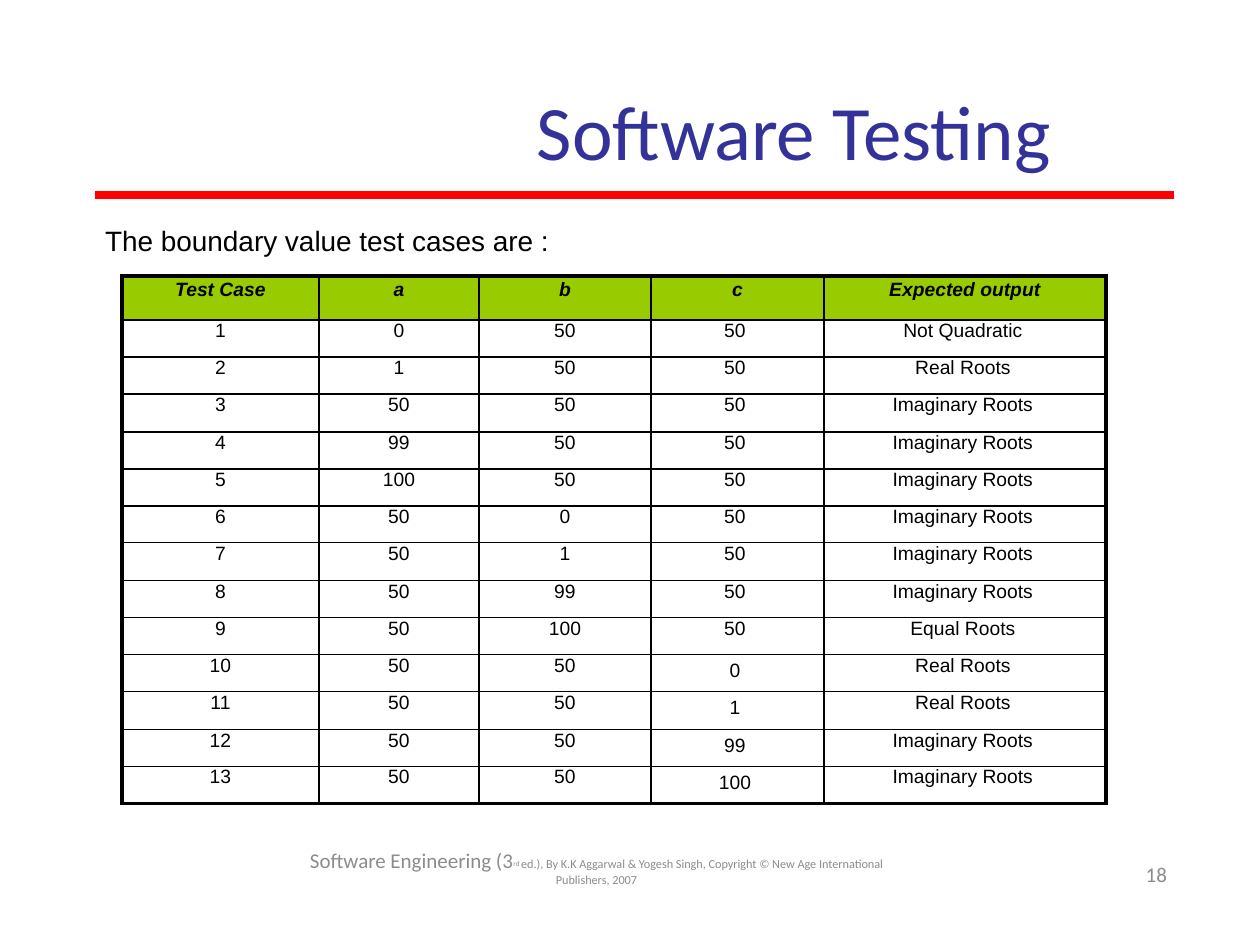
import pptx
import pptx.dml.color
import pptx.enum.shapes
import pptx.enum.text
import pptx.oxml
import pptx.oxml.ns
import pptx.util

PX = 914400 // 126
COLORS = {"title": "323299", "rule": "FF0000", "text": "000000", "muted": "8C8C8C", "header": "98CC00"}
ALIGN = pptx.enum.text.PP_ALIGN
ANCHOR = pptx.enum.text.MSO_ANCHOR
COLUMNS = [197, 160, 172, 173, 282]
RIGHT_INSETS = [0, 0, 0, 5, 4]
HEADER_HEIGHT, BODY_HEIGHT = 44, 484
HEADERS = ["Test Case", "a", "b", "c", "Expected output"]
CASES = [
    (0, 50, 50, "Not Quadratic"),
    (1, 50, 50, "Real Roots"),
    (50, 50, 50, "Imaginary Roots"),
    (99, 50, 50, "Imaginary Roots"),
    (100, 50, 50, "Imaginary Roots"),
    (50, 0, 50, "Imaginary Roots"),
    (50, 1, 50, "Imaginary Roots"),
    (50, 99, 50, "Imaginary Roots"),
    (50, 100, 50, "Equal Roots"),
    (50, 50, 0, "Real Roots"),
    (50, 50, 1, "Real Roots"),
    (50, 50, 99, "Imaginary Roots"),
    (50, 50, 100, "Imaginary Roots"),
]


def px(length):
    """Turn pixels into EMU."""
    return pptx.util.Emu(length * PX)


def rgb(name):
    """Look up a named colour."""
    return pptx.dml.color.RGBColor.from_string(COLORS[name])


def write(para, text, size=11, font="Arial", color="text", bold=False, italic=False,
          baseline=0, align=ALIGN.CENTER, leading=None):
    """Append a formatted run to a paragraph."""
    para.alignment = align
    if leading:
        para.line_spacing = pptx.util.Pt(leading)
    span = para.add_run()
    span.text = text
    span.font.size = pptx.util.Pt(size)
    span.font.name = font
    span.font.bold = bold
    span.font.italic = italic
    span.font.color.rgb = rgb(color)
    if baseline:
        span._r.get_or_add_rPr().set("baseline", str(baseline * 1000))


def add_box(slide, left, top, width, height, inset_top=0, anchor=ANCHOR.TOP):
    """Add a wrapping text box and return its first paragraph."""
    box = slide.shapes.add_textbox(px(left), px(top), px(width), px(height))
    frame = box.text_frame
    frame.word_wrap = True
    frame.vertical_anchor = anchor
    frame.margin_left = frame.margin_right = frame.margin_bottom = 0
    frame.margin_top = px(inset_top)
    return frame.paragraphs[0]


def add_rule(slide, left, right, top):
    """Draw the horizontal line below the title."""
    rule = slide.shapes.add_connector(pptx.enum.shapes.MSO_CONNECTOR.STRAIGHT,
                                      px(left), px(top), px(right), px(top))
    rule.line.color.rgb = rgb("rule")
    rule.line.width = pptx.util.Pt(4.5)
    rule._element.spPr.append(pptx.oxml.parse_xml("<a:effectLst %s/>" % pptx.oxml.ns.nsdecls("a")))


def set_borders(cell, outer_sides):
    """Give a cell thin borders, and thick ones on the outer sides."""
    properties = cell._tc.get_or_add_tcPr()
    for index, side in enumerate("LRTB"):
        width = pptx.util.Pt(2.25 if side in outer_sides else 1)
        properties.insert(index, pptx.oxml.parse_xml(
            '<a:ln%s %s w="%d"><a:solidFill><a:srgbClr val="%s"/></a:solidFill></a:ln%s>'
            % (side, pptx.oxml.ns.nsdecls("a"), width, COLORS["text"], side)))


def fill_cell(cell, text, header, right_inset, outer_sides, leading):
    """Write and style one table cell."""
    cell.margin_left = cell.margin_top = cell.margin_bottom = 0
    cell.margin_right = px(right_inset)
    if header:
        cell.fill.solid()
        cell.fill.fore_color.rgb = rgb("header")
    else:
        cell.fill.background()
    set_borders(cell, outer_sides)
    write(cell.text_frame.paragraphs[0], text, bold=header, italic=header, leading=leading)


def add_cases(slide, left, top):
    """Add the table of boundary value test cases."""
    rows = [HEADERS] + [(number, *case) for number, case in enumerate(CASES, 1)]
    table = slide.shapes.add_table(len(rows), len(COLUMNS), px(left), px(top), px(sum(COLUMNS)),
                                   px(HEADER_HEIGHT + BODY_HEIGHT)).table
    table.first_row = table.horz_banding = False
    for column, width in zip(table.columns, COLUMNS):
        column.width = px(width)
    tops = [round(BODY_HEIGHT * index / len(CASES)) for index in range(len(rows))]
    heights = [HEADER_HEIGHT] + [low - high for high, low in zip(tops, tops[1:])]
    last_row, last_column = len(rows) - 1, len(COLUMNS) - 1
    for r, values in enumerate(rows):
        table.rows[r].height = px(heights[r])
        for c, value in enumerate(values):
            edges = {"L": c == 0, "R": c == last_column, "T": r == 0, "B": r == last_row}
            outer_sides = [side for side, outer in edges.items() if outer]
            leading = 14.1 if r == 0 else 15.6 if r >= 10 and c == 3 else None
            fill_cell(table.cell(r, c), str(value), r == 0, RIGHT_INSETS[c] if r else 0,
                      outer_sides, leading)


def add_footer(slide):
    """Add the citation and the page number."""
    muted = {"font": "Calibri", "color": "muted"}
    number = add_box(slide, 1051, 815, 116, 83, 37, ANCHOR.MIDDLE)
    write(number, "18", size=12, align=ALIGN.RIGHT, leading=13.2, **muted)
    citation = add_box(slide, 285, 859, 623, 28, 0, ANCHOR.MIDDLE)
    write(citation, "Software Engineering (3", size=12, leading=7.8, **muted)
    write(citation, "rd ", size=7, baseline=22, leading=7.8, **muted)
    write(citation, "ed.), By K.K Aggarwal & Yogesh Singh, Copyright © New Age International "
          "Publishers, 2007", size=7, leading=7.8, **muted)


def main():
    """Build the slide and save it."""
    deck = pptx.Presentation()
    deck.slide_width, deck.slide_height = px(1260), px(945)
    slide = deck.slides.add_slide(deck.slide_layouts[6])
    write(add_box(slide, 391, 57, 806, 120, 26, ANCHOR.MIDDLE), "Software Testing",
          size=44, font="Calibri", color="title")
    add_rule(slide, 95, 1174, 195)
    write(add_box(slide, 105, 224, 458, 34), "The boundary value test cases are :",
          size=16, align=ALIGN.LEFT)
    add_footer(slide)
    add_cases(slide, 122, 276)
    deck.save("out.pptx")


if __name__ == "__main__":
    main()
